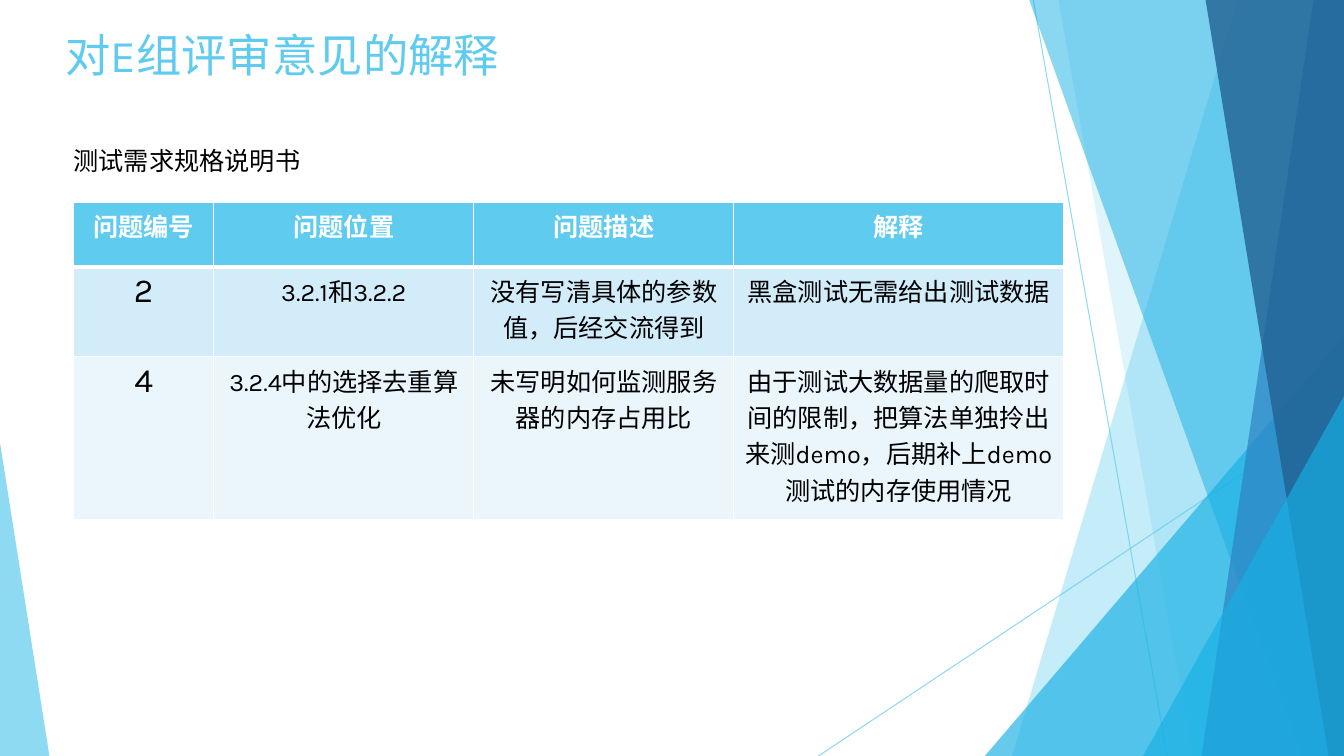
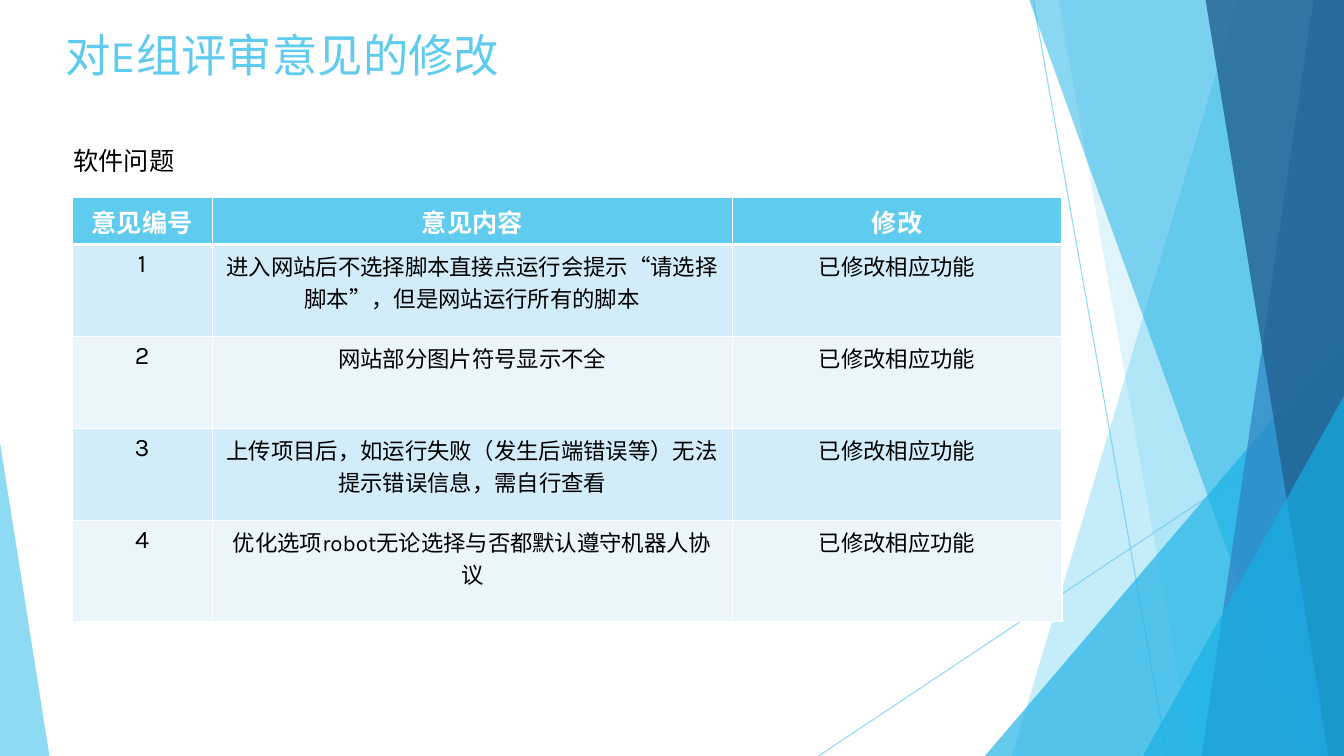
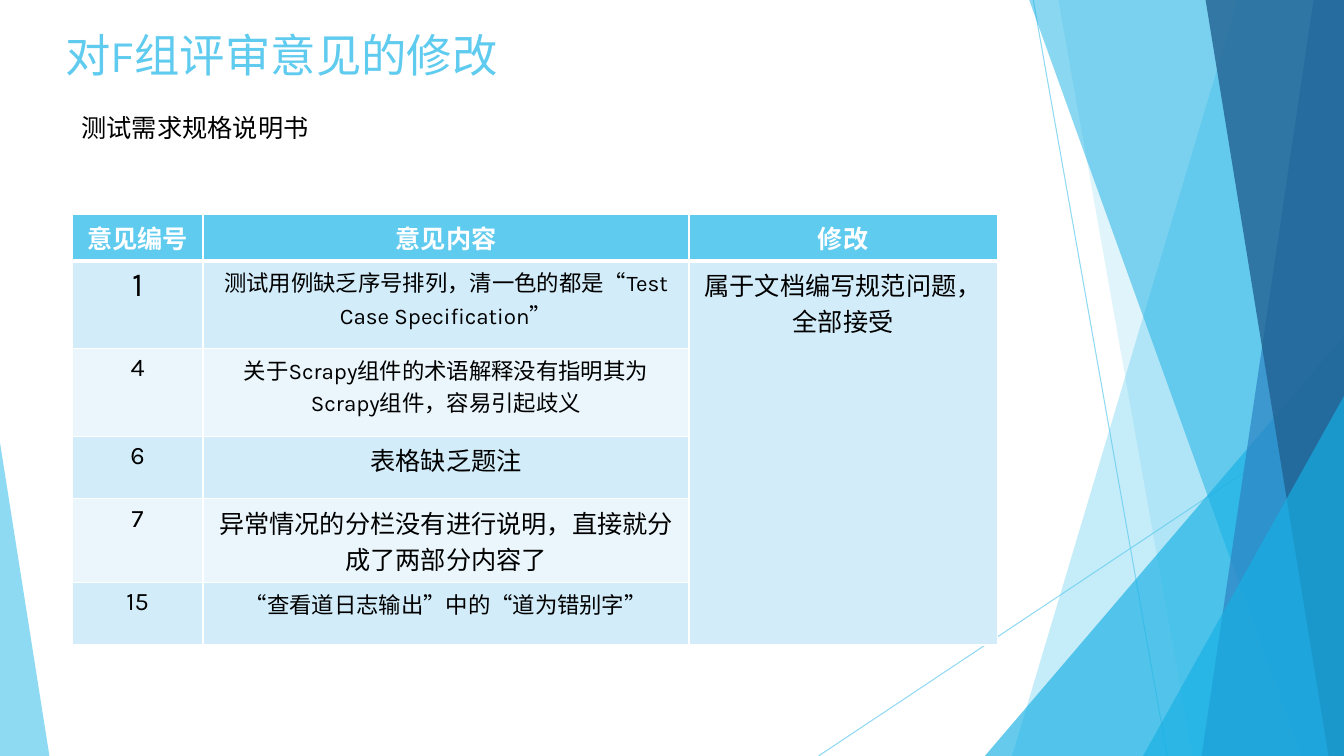
from lxml import etree
from pptx import Presentation, util as u
from pptx.dml.color import RGBColor
from pptx.enum import lang, shapes, text
from pptx.oxml.ns import qn

W, H = u.Inches(13.33), u.Inches(7.5)
FONT = "Karla"
BODY = 18
COLORS = {
    "sky": "5FCBEF", "cyan": "17B0E4", "blue": "2E83C3", "navy": "226292",
    "odd": "D2ECF9", "even": "EAF6FC", "white": "FFFFFF", "black": "000000",
}


def x(share):
    """Length of a percentage of the slide's width."""
    return u.Emu(round(W * share / 100))


def y(share):
    """Length of a percentage of the slide's height."""
    return u.Emu(round(H * share / 100))


def rgb(name):
    """Colour object for a palette name."""
    return RGBColor.from_string(COLORS[name])


def fade(sp, opacity):
    """Set the opacity, in percent, of every colour in a shape."""
    for clr in sp._element.spPr.iter(qn("a:srgbClr")):
        etree.SubElement(clr, qn("a:alpha"), val=str(opacity * 1000))


def paint(sp, color, opacity):
    """Give a shape a translucent fill without outline or shadow."""
    sp.shadow.inherit = False
    sp.fill.solid()
    sp.fill.fore_color.rgb = rgb(color)
    sp.line.fill.background()
    fade(sp, opacity)


def hairline(s, x1, y1, x2, y2):
    """Draw a thin translucent line."""
    sp = s.shapes.add_connector(shapes.MSO_CONNECTOR.STRAIGHT, x(x1), y(y1), x(x2), y(y2))
    sp.line.color.rgb = rgb("sky")
    sp.line.width = u.Pt(0.75)
    fade(sp, 70)
    etree.SubElement(sp._element.spPr, qn("a:effectLst"))


def band(s, top, bottom, color, opacity):
    """Fill from a slanted left edge to the right side of the slide."""
    builder = s.shapes.build_freeform(x(top), 0)
    builder.add_line_segments([(W, 0), (W, H), (x(bottom), H)], close=True)
    paint(builder.convert_to_shape(), color, opacity)


def wedge(s, left, top, right, apex, color, opacity):
    """Stand a triangle on the bottom edge; apex is 0 (left) or 1 (right)."""
    sp = s.shapes.add_shape(shapes.MSO_SHAPE.ISOSCELES_TRIANGLE,
                            x(left), y(top), x(right - left), y(100 - top))
    sp.adjustments[0] = apex
    paint(sp, color, opacity)


def facets(s):
    """Draw the faceted decoration shared by all slides."""
    hairline(s, 76.88, 0, 86.85, 100)
    hairline(s, 100, 53.73, 60.9, 100)
    band(s, 92.1, 75.3, "sky", 36)
    band(s, 78.75, 88.73, "sky", 20)
    wedge(s, 73.28, 44.4, 100, 1, "cyan", 66)
    band(s, 76.58, 96.83, "cyan", 50)
    band(s, 97.73, 89.4, "blue", 70)
    band(s, 89.7, 98.85, "navy", 80)
    wedge(s, 85.05, 52.4, 100, 1, "cyan", 66)
    wedge(s, 0, 58.53, 3.68, 0, "sky", 70)


def write(tf, words, size, color, bold=False):
    """Add one run to the first paragraph and return the paragraph."""
    p = tf.paragraphs[0]
    r = p.add_run()
    r.text = words
    r.font.name, r.font.size, r.font.bold = FONT, u.Pt(size), bold
    r.font.color.rgb = rgb(color)
    r.font.language_id = lang.MSO_LANGUAGE_ID.SIMPLIFIED_CHINESE
    return p


def label(s, words, left, top, width, height, size, color):
    """Add a one-line text box and return its text frame."""
    tf = s.shapes.add_textbox(x(left), y(top), x(width), y(height)).text_frame
    tf.word_wrap = True
    write(tf, words, size, color)
    return tf


def borders(cell, top, bottom):
    """Draw white cell borders; top and bottom are widths in points."""
    tcPr = cell._tc.get_or_add_tcPr()
    sides = {"a:lnL": 1, "a:lnR": 1, "a:lnT": top, "a:lnB": bottom}
    for i, (tag, width) in enumerate(sides.items()):
        ln = etree.Element(qn(tag), w=str(u.Pt(width)))
        fill = etree.SubElement(ln, qn("a:solidFill"))
        etree.SubElement(fill, qn("a:srgbClr"), val=COLORS["white"])
        tcPr.insert(i, ln)


def grid(s, left, top, cols, heights, rows):
    """Add a banded table; a cell is text, (text, size), or None if merged."""
    tbl = s.shapes.add_table(len(rows), len(cols), x(left), y(top),
                             x(sum(cols)), y(sum(heights))).table
    for column, width in zip(tbl.columns, cols):
        column.width = x(width)
    for i, (row, height) in enumerate(zip(rows, heights)):
        tbl.rows[i].height = y(height)
        back = "sky" if i == 0 else "odd" if i % 2 else "even"
        for j, entry in enumerate(row):
            cell = tbl.cell(i, j)
            cell.fill.solid()
            cell.fill.fore_color.rgb = rgb(back)
            borders(cell, 3 if i == 1 else 1, 3 if i == 0 else 1)
            if entry is None:
                continue
            words, size = (entry, BODY) if isinstance(entry, str) else entry
            p = write(cell.text_frame, words, size, "black" if i else "white", i == 0)
            p.alignment = text.PP_ALIGN.CENTER
    return tbl


def review_slide(prs, title, subtitle, table, subtitle_at=(4.73, 18.53)):
    """Build a slide with title, subtitle and table; return the table."""
    s = prs.slides.add_slide(prs.slide_layouts[6])
    facets(s)
    tf = label(s, title, 4.13, 4, 42.08, 6.27, 32.4, "sky")
    tf.vertical_anchor = text.MSO_ANCHOR.MIDDLE
    tbl = grid(s, **table)
    tf = label(s, subtitle, *subtitle_at, 25.05, 5.47, BODY, "black")
    tf.auto_size = text.MSO_AUTO_SIZE.SHAPE_TO_FIT_TEXT
    return tbl


def main():
    """Build the three review slides."""
    prs = Presentation()
    prs.slide_width, prs.slide_height = W, H

    review_slide(prs, "对E组评审意见的解释", "测试需求规格说明书", dict(
        left=5.48, top=26.8, cols=[10.43, 19.35, 19.35, 24.53],
        heights=[8.53, 11.87, 21.6],
        rows=[
            ("问题编号", "问题位置", "问题描述", "解释"),
            (("2", 24), "3.2.1和3.2.2", "没有写清具体的参数值，后经交流得到",
             "黑盒测试无需给出测试数据"),
            (("4", 24), "3.2.4中的选择去重算法优化", "未写明如何监测服务器的内存占用比",
             "由于测试大数据量的爬取时间的限制，把算法单独拎出来测demo，"
             "后期补上demo测试的内存使用情况"),
        ]))

    opinion_header = ("意见编号", "意见内容", "修改")
    software_issues = [
        "进入网站后不选择脚本直接点运行会提示“请选择脚本”，但是网站运行所有的脚本",
        "网站部分图片符号显示不全",
        "上传项目后，如运行失败（发生后端错误等）无法提示错误信息，需自行查看",
        "优化选项robot无论选择与否都默认遵守机器人协议",
    ]
    review_slide(prs, "对E组评审意见的修改", "软件问题", dict(
        left=5.36, top=26.16, cols=[10.43, 38.7, 24.53],
        heights=[6.2, 12.17, 12.17, 12.17, 13.33],
        rows=[opinion_header] + [
            (str(n), (issue, 16), ("已修改相应功能", 16))
            for n, issue in enumerate(software_issues, 1)]))

    tbl = review_slide(prs, "对F组评审意见的修改", "测试需求规格说明书", dict(
        left=5.36, top=28.4, cols=[9.75, 36.15, 22.95],
        heights=[6.13, 11.6, 11.6, 8.27, 11.07, 8.27],
        rows=[
            opinion_header,
            (("1", 24), ("测试用例缺乏序号排列，清一色的都是“Test Case Specification”", 16),
             "属于文档编写规范问题，全部接受"),
            ("4", ("关于Scrapy组件的术语解释没有指明其为Scrapy组件，容易引起歧义", 16), None),
            ("6", "表格缺乏题注", None),
            ("7", "异常情况的分栏没有进行说明，直接就分成了两部分内容了", None),
            ("15", ("“查看道日志输出”中的“道为错别字”", 16), None),
        ]), subtitle_at=(5.33, 14.2))
    tbl.cell(1, 2).merge(tbl.cell(5, 2))

    prs.save("out.pptx")


main()
